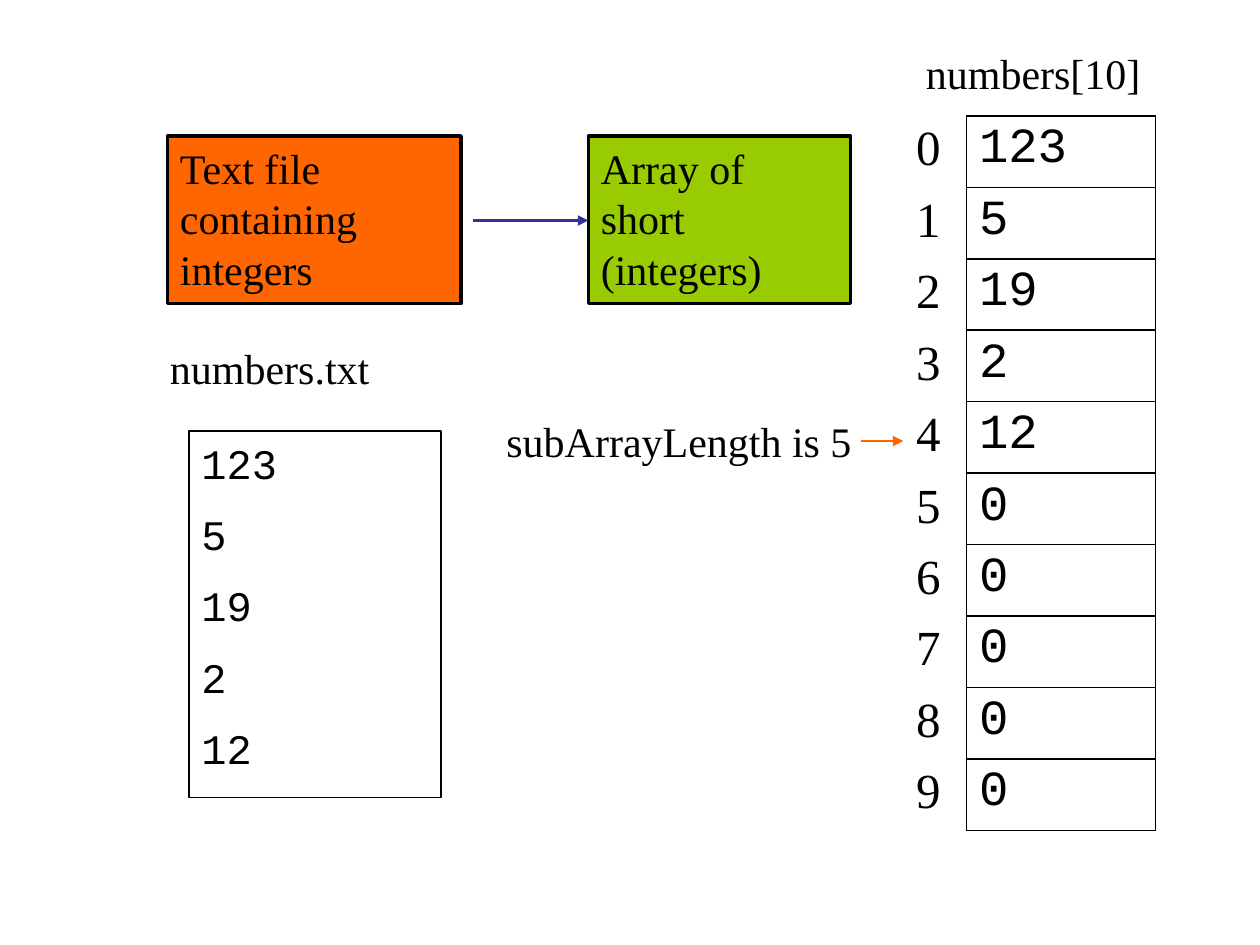
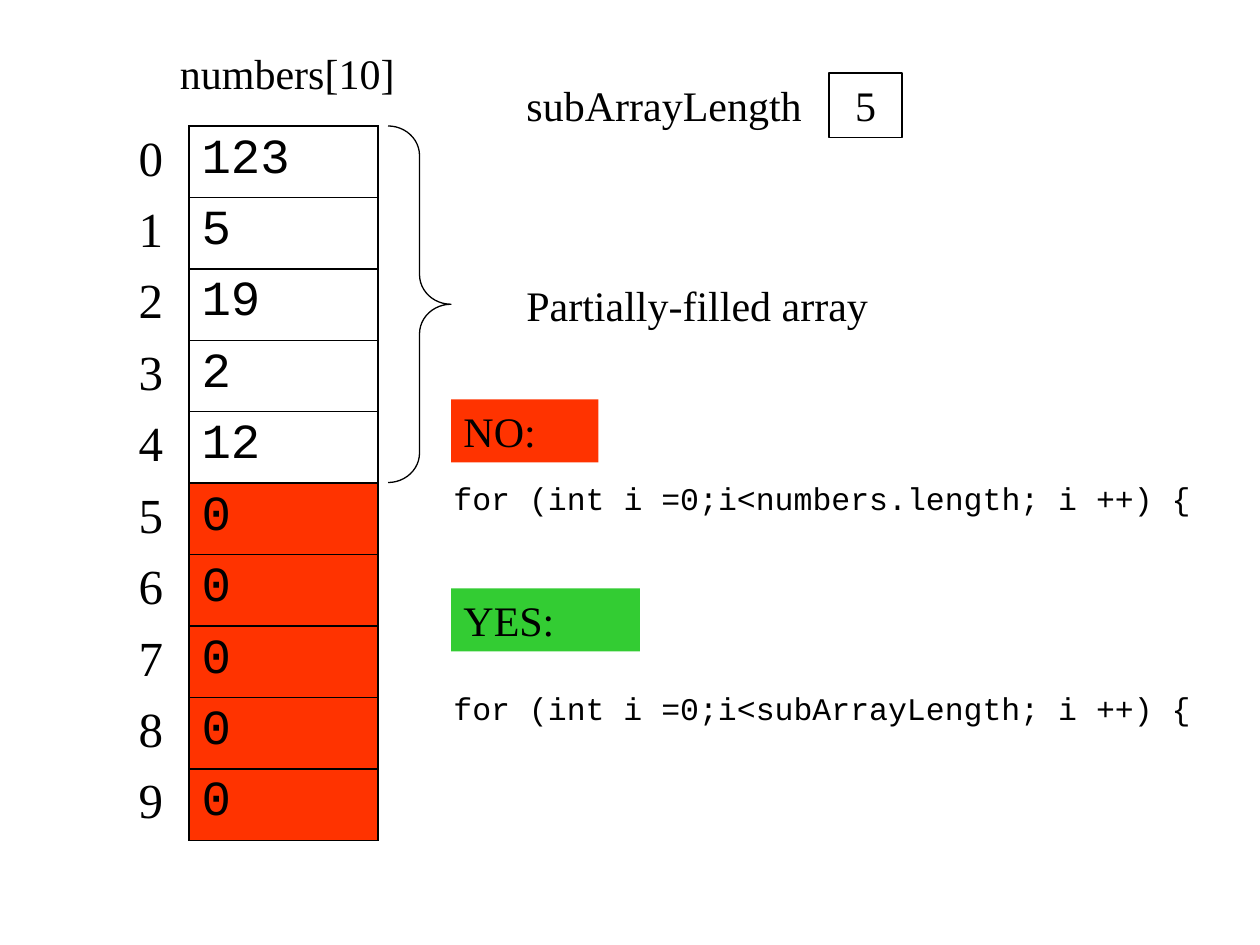
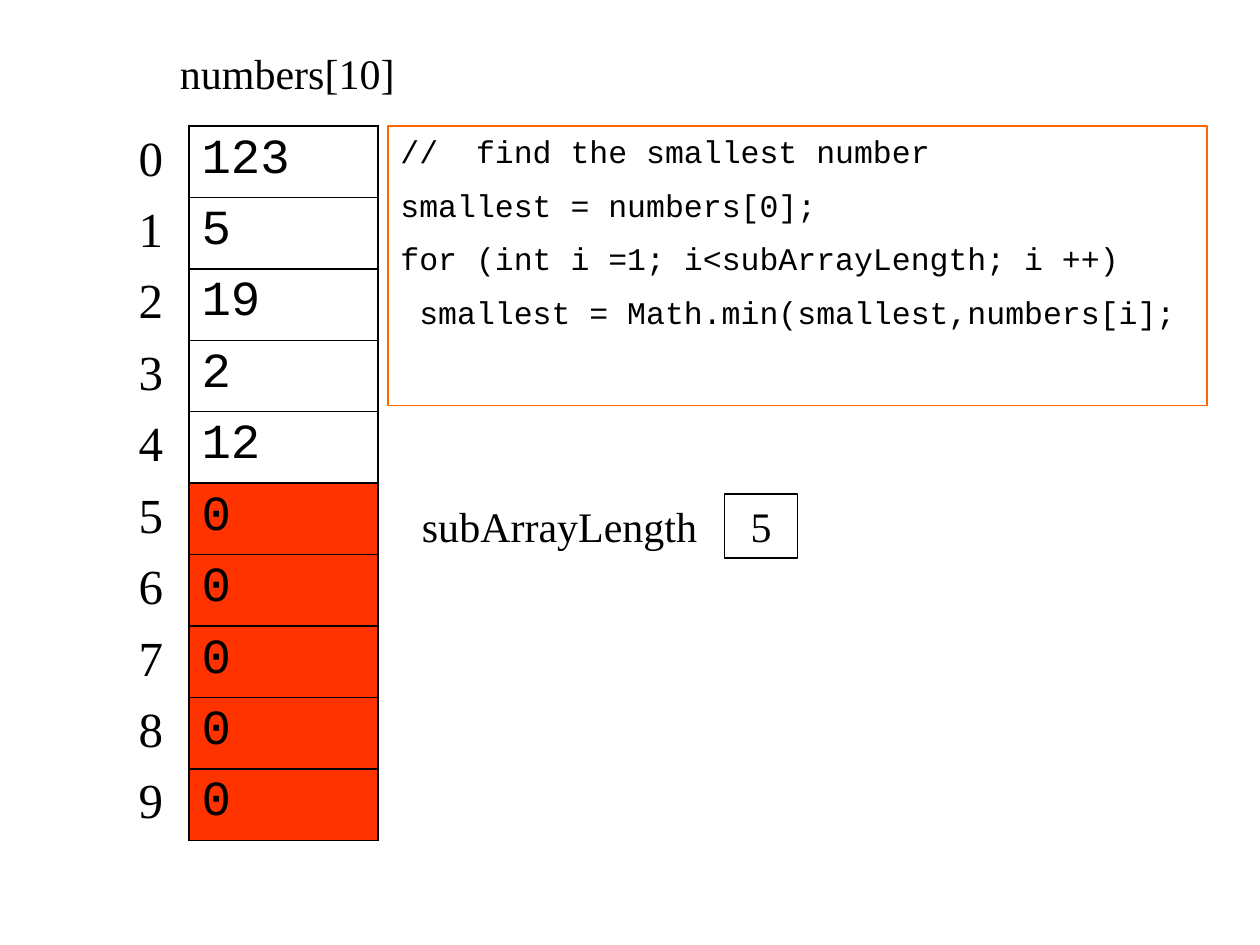
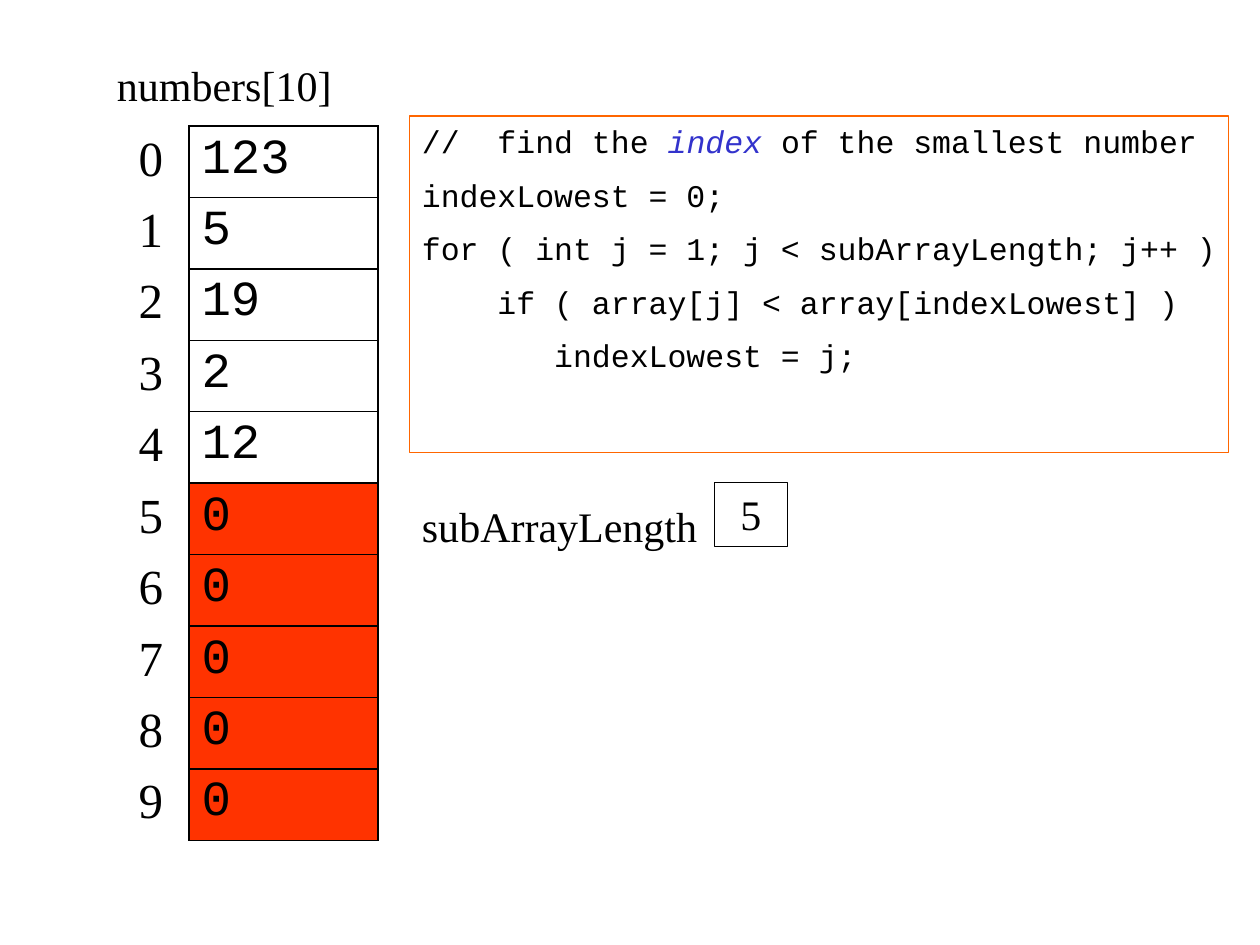
from lxml import etree
from pptx import Presentation, util as u
from pptx.dml.color import RGBColor
from pptx.enum import shapes, text
from pptx.oxml import ns

COLORS = dict(ink="000000", orange="FF6600", lime="99CC00", navy="333399",
              red="FF3300", green="33CC33", blue="3333CC")
SERIF, MONO = "Times New Roman", "Courier New"
NO_GRID = "{2D5ABB26-0587-4C30-8999-92F81FD0307C}"

VALUES = ["123", "5", "19", "2", "12", "0", "0", "0", "0", "0"]
FILLED = 5
COLUMNS = (0.5, 1.5)
ARRAY_HEIGHT = 5.67
CHAR_WIDTH = 0.15

LABEL = dict(size=24, font=SERIF)
FILE = dict(size=24, font=MONO, line=("ink", 0.75))
CODE = dict(size=18, font=MONO)
LISTING = dict(CODE, line=("orange", 0.75))
COUNTER = dict(LABEL, line=("ink", 0.75), align=text.PP_ALIGN.CENTER)

SLIDES = [
    dict(
        array=(7.17, 0.92), unused=None,
        parts=[
            ((1.33, 1.08, 2.33, 1.33), ["Text file containing integers"],
             dict(LABEL, fill="orange", line=("ink", 2))),
            ((4.67, 1.08, 2.08, 1.33), ["Array of short (integers)"],
             dict(LABEL, fill="lime", line=("ink", 2))),
            ((1.25, 2.67, 2.42, 0.5), ["numbers.txt"], LABEL),
            ((7.25, 0.33, 2.17, 0.5), ["numbers[10]"], LABEL),
            ((1.5, 3.42, 2, 2.91), VALUES[:FILLED], FILE),
            ((3.92, 3.25, 3.08, 0.5), ["subArrayLength is 5"], LABEL),
        ],
        arrows=[((3.75, 1.75), (4.67, 1.75), "navy", 2),
                ((6.83, 3.5), (7.17, 3.5), "orange", 0.75)],
    ),
    dict(
        array=(1, 1), unused="red", brace=(3.08, 1, 0.5, 2.83),
        parts=[
            ((1.33, 0.33, 2.17, 0.5), ["numbers[10]"], LABEL),
            ((4.08, 0.58, 2.58, 0.5), ["subArrayLength"], LABEL),
            ((6.58, 0.58, 0.58, 0.51), ["5"], COUNTER),
            ((4.08, 2.17, 3.17, 0.5), ["Partially-filled array"], LABEL),
            ((3.5, 3.75, 6.08, 0.4), ["for (int i =0;i<numbers.length; i ++) {"], CODE),
            ((3.5, 5.42, 6.17, 0.4), ["for (int i =0;i<subArrayLength; i ++) {"], CODE),
            ((3.58, 3.17, 1.17, 0.5), ["NO:"], dict(LABEL, fill="red")),
            ((3.58, 4.67, 1.5, 0.5), ["YES:"], dict(LABEL, fill="green")),
        ],
    ),
    dict(
        array=(1, 1), unused="red",
        parts=[
            ((1.33, 0.33, 2.17, 0.5), ["numbers[10]"], LABEL),
            ((3.25, 3.92, 2.58, 0.5), ["subArrayLength"], LABEL),
            ((5.75, 3.92, 0.58, 0.51), ["5"], COUNTER),
            ((3.08, 1, 6.5, 2.22),
             ["//  find the smallest number",
              "smallest = numbers[0];",
              "for (int i =1; i<subArrayLength; i ++)",
              (1, "smallest = Math.min(smallest,numbers[i];")], LISTING),
        ],
    ),
    dict(
        array=(1, 1), unused="red",
        parts=[
            ((0.83, 0.42, 2.17, 0.5), ["numbers[10]"], LABEL),
            ((3.25, 3.92, 2.58, 0.5), ["subArrayLength"], LABEL),
            ((5.67, 3.83, 0.58, 0.51), ["5"], COUNTER),
            ((3.25, 0.92, 6.5, 2.67),
             ["//  find the *index* of the smallest number",
              "indexLowest = 0;",
              "for ( int j = 1; j < subArrayLength; j++ )",
              (4, "if ( array[j] < array[indexLowest] )"),
              (7, "indexLowest = j;")], LISTING),
        ],
    ),
]


def rgb(color):
    return RGBColor.from_string(COLORS[color])


def inches(values):
    return [u.Inches(value) for value in values]


def child(parent, tag, **attributes):
    return etree.SubElement(parent, ns.qn(tag), attributes)


def set_all(target, values):
    for name, value in values.items():
        setattr(target, name, value)


def paint(part, fill=None, line=None):
    if fill:
        part.fill.solid()
        part.fill.fore_color.rgb = rgb(fill)
    else:
        part.fill.background()
    if line:
        part.line.color.rgb = rgb(line[0])
        part.line.width = u.Pt(line[1])
    else:
        part.line.fill.background()


def write(frame, lines, size, font, before=50, align=text.PP_ALIGN.LEFT):
    for number, line in enumerate(lines):
        indent, words = line if isinstance(line, tuple) else (0, line)
        paragraph = frame.add_paragraph() if number else frame.paragraphs[0]
        paragraph.alignment = align
        properties = paragraph._p.get_or_add_pPr()
        child(child(properties, "a:spcBef"), "a:spcPct", val=str(before * 1000))
        if indent:
            properties.set("marL", str(u.Inches(indent * CHAR_WIDTH)))
        pieces = words.split("*") if words.count("*") == 2 else [words]
        for position, piece in enumerate(pieces):
            emphasis = position == 1
            run = paragraph.add_run()
            run.text = piece
            set_all(run.font, dict(size=u.Pt(size), name=font, italic=emphasis))
            run.font.color.rgb = rgb("blue" if emphasis else "ink")


def add_part(slide, place, lines, style):
    style = dict(style)
    fill, line = style.pop("fill", None), style.pop("line", None)
    if fill or line:
        part = slide.shapes.add_shape(shapes.MSO_SHAPE.RECTANGLE, *inches(place))
        part.shadow.inherit = False
        paint(part, fill, line)
    else:
        part = slide.shapes.add_textbox(*inches(place))
    set_all(part.text_frame, dict(
        word_wrap=True, auto_size=text.MSO_AUTO_SIZE.NONE,
        vertical_anchor=text.MSO_ANCHOR.TOP, margin_right=u.Inches(0.05)
        if style["font"] == MONO else u.Inches(0.1)))
    write(part.text_frame, lines, **style)


def add_border(cell, sides):
    properties = cell._tc.get_or_add_tcPr()
    for side in sides:
        edge = child(properties, "a:ln" + side, w=str(u.Pt(1)))
        child(child(edge, "a:solidFill"), "a:srgbClr", val=COLORS["ink"])


def add_array(slide, corner, unused):
    place = inches((*corner, sum(COLUMNS), ARRAY_HEIGHT))
    array = slide.shapes.add_table(len(VALUES), len(COLUMNS), *place).table
    set_all(array, dict(first_row=False, horz_banding=False))
    array._tbl.tblPr.find(ns.qn("a:tableStyleId")).text = NO_GRID
    for column, width in zip(array.columns, COLUMNS):
        column.width = u.Inches(width)
    for index, value in enumerate(VALUES):
        array.rows[index].height = u.Inches(ARRAY_HEIGHT / len(VALUES))
        for column, (words, font, sides) in enumerate(
                [(str(index), SERIF, "R"), (value, MONO, "LRTB")]):
            cell = array.cell(index, column)
            write(cell.text_frame, [words], 28, font, before=20)
            add_border(cell, sides)
            if unused and column and index >= FILLED:
                cell.fill.solid()
                cell.fill.fore_color.rgb = rgb(unused)
            else:
                cell.fill.background()


def add_brace(slide, place):
    brace = slide.shapes.add_shape(shapes.MSO_SHAPE.RIGHT_BRACE, *inches(place))
    brace.shadow.inherit = False
    brace.adjustments[0], brace.adjustments[1] = 0.47, 0.5
    paint(brace, line=("ink", 0.75))


def add_arrow(slide, start, end, color, width):
    arrow = slide.shapes.add_connector(
        shapes.MSO_CONNECTOR.STRAIGHT, *inches(start + end))
    arrow.line.color.rgb = rgb(color)
    arrow.line.width = u.Pt(width)
    child(arrow.line._get_or_add_ln(), "a:tailEnd", type="triangle")
    child(arrow._element.spPr, "a:effectLst")


deck = Presentation()
set_all(deck, dict(slide_width=u.Inches(10), slide_height=u.Inches(7.5)))
for content in SLIDES:
    slide = deck.slides.add_slide(deck.slide_layouts[6])
    add_array(slide, content["array"], content["unused"])
    for part in content["parts"]:
        add_part(slide, *part)
    if "brace" in content:
        add_brace(slide, content["brace"])
    for arrow in content.get("arrows", []):
        add_arrow(slide, *arrow)
deck.save("out.pptx")
